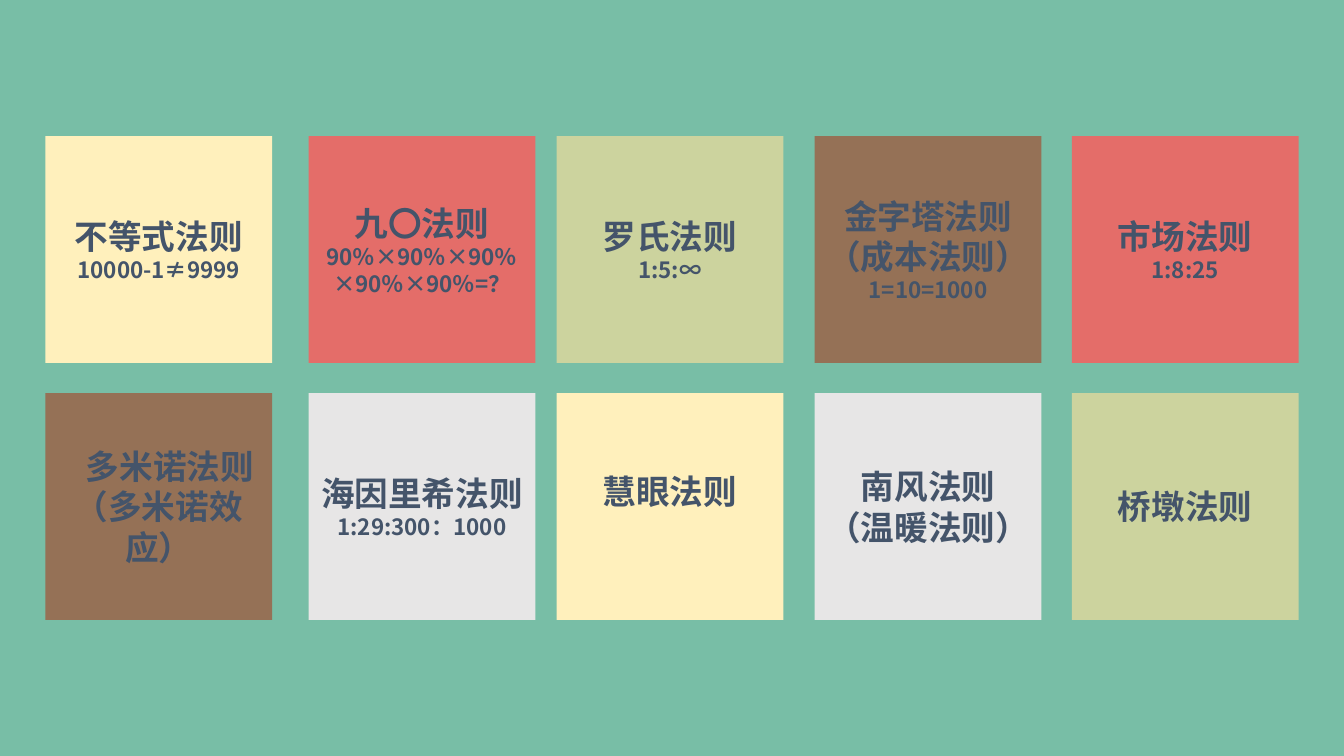
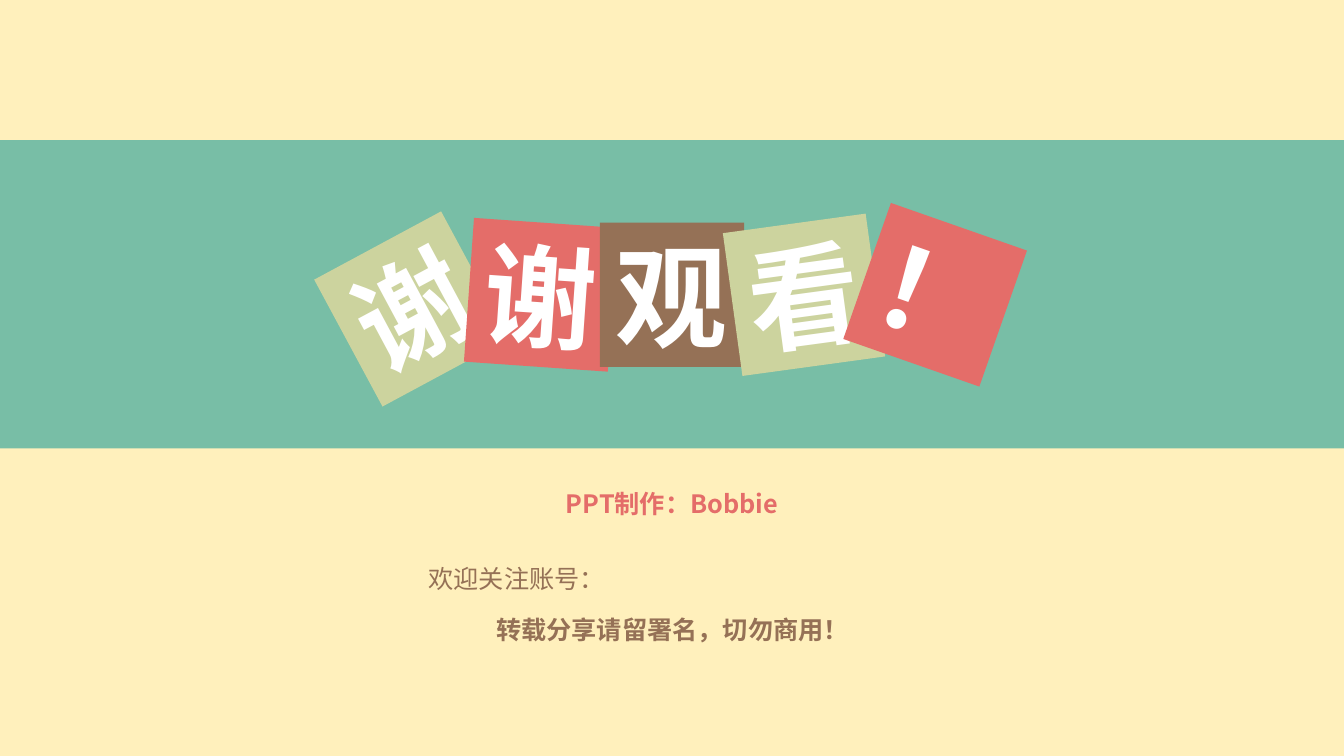
from lxml import etree
from pptx import Presentation
from pptx.dml.color import RGBColor
from pptx.enum.shapes import MSO_SHAPE
from pptx.enum.text import MSO_ANCHOR, MSO_AUTO_SIZE, PP_ALIGN
from pptx.oxml.ns import qn
from pptx.util import Inches, Pt

RECT = MSO_SHAPE.RECTANGLE
MIDDLE = MSO_ANCHOR.MIDDLE
GROW = MSO_AUTO_SIZE.SHAPE_TO_FIT_TEXT
CENTER = PP_ALIGN.CENTER

FONT = "Noto Sans CJK SC"
COLORS = {
    "green": "78BEA6",
    "cream": "FFF0BC",
    "red": "E46D69",
    "olive": "CCD39E",
    "brown": "957156",
    "gray": "E7E6E6",
    "slate": "44546A",
    "white": "FFFFFF",
}

CARD_SIZE = 2.25
CARD_LEFTS = [0.45, 3.06, 5.52, 8.08, 10.63]
CARD_TOPS = [1.35, 3.9]
CARD_ROWS = [
    [
        ("cream", ["不等式法则"], "10000-1≠9999"),
        ("red", ["九〇法则"], "90％×90％×90％×90％×90％=？"),
        ("olive", ["罗氏法则"], "1:5:∞"),
        ("brown", ["金字塔法则", "（成本法则）"], "1=10=1000"),
        ("red", ["市场法则"], "1:8:25"),
    ],
    [
        ("brown", ["多米诺法则", "（多米诺效应）"], None),
        ("gray", ["海因里希法则"], "1:29:300：1000"),
        ("cream", ["慧眼法则"], None),
        ("gray", ["南风法则", "（温暖法则）"], None),
        ("olive", ["桥墩法则"], None),
    ],
]

TILE_SIZE = 1.43
TILES = [
    ("谢", "olive", 3.37, 2.35, 331.7),
    ("谢", "red", 4.65, 2.21, 4),
    ("观", "brown", 5.95, 2.21, 0),
    ("看", "olive", 7.26, 2.21, 352.2),
    ("！", "red", 8.56, 2.21, 19.3),
]

CREDITS = [
    ("PPT制作：Bobbie", 5.28, 4.8, 2.77, "red", True, True),
    ("欢迎关注账号：", 4.14, 5.54, 1.97, "brown", False, False),
    ("转载分享请留署名，切勿商用！", 4.8, 6.05, 3.74, "brown", True, False),
]


def rgb(name):
    return RGBColor.from_string(COLORS[name])


def add_slide(prs, background):
    s = prs.slides.add_slide(prs.slide_layouts[6])
    fill = s.background.fill
    fill.solid()
    fill.fore_color.rgb = rgb(background)
    return s


def add_rect(s, left, top, width, height, color):
    sp = s.shapes.add_shape(RECT, Inches(left), Inches(top), Inches(width), Inches(height))
    sp.shadow.inherit = False
    sp.fill.solid()
    sp.fill.fore_color.rgb = rgb(color)
    sp.line.fill.background()
    return sp


def write_lines(tf, lines, color, bold=True):
    for i, (text, size) in enumerate(lines):
        p = tf.paragraphs[0] if i == 0 else tf.add_paragraph()
        p.text = text
        p.alignment = CENTER
        for r in p.runs:
            font = r.font
            font.size = Pt(size)
            font.bold = bold
            font.color.rgb = rgb(color)
            font.name = FONT
            etree.SubElement(r._r.get_or_add_rPr(), qn("a:ea"), typeface=FONT)


def add_square(s, left, top, size, color, lines, text_color):
    sp = add_rect(s, left, top, size, size, color)
    tf = sp.text_frame
    tf.word_wrap = True
    tf.vertical_anchor = MIDDLE
    write_lines(tf, lines, text_color)
    return sp


def add_card(s, left, top, color, names, formula):
    lines = [(name, 24) for name in names]
    if formula:
        lines.append((formula, 16))
    return add_square(s, left, top, CARD_SIZE, color, lines, "slate")


def add_credit(s, text, left, top, width, color, bold, wrap):
    tf = s.shapes.add_textbox(Inches(left), Inches(top), Inches(width), Inches(0.4)).text_frame
    tf.word_wrap = wrap
    tf.auto_size = GROW
    write_lines(tf, [(text, 18)], color, bold)


def build_laws(prs):
    s = add_slide(prs, "green")
    cards = {}
    for top, row in zip(CARD_TOPS, CARD_ROWS):
        for left, (color, names, formula) in zip(CARD_LEFTS, row):
            cards[names[0]] = add_card(s, left, top, color, names, formula)
    domino = cards["多米诺法则"].text_frame.paragraphs[0]
    domino._p.get_or_add_pPr().set("marL", str(Inches(0.22)))
    cards["慧眼法则"].text_frame.margin_bottom = Inches(0.35)


def build_thanks(prs):
    s = add_slide(prs, "cream")
    add_rect(s, 0, 1.39, 13.33, 3.06, "green")
    for text, color, left, top, angle in TILES:
        sp = add_square(s, left, top, TILE_SIZE, color, [(text, 80)], "white")
        sp.rotation = angle
    for credit in CREDITS:
        add_credit(s, *credit)


def main():
    prs = Presentation()
    prs.slide_width = Inches(13.33)
    prs.slide_height = Inches(7.5)
    build_laws(prs)
    build_thanks(prs)
    prs.save("out.pptx")


if __name__ == "__main__":
    main()
